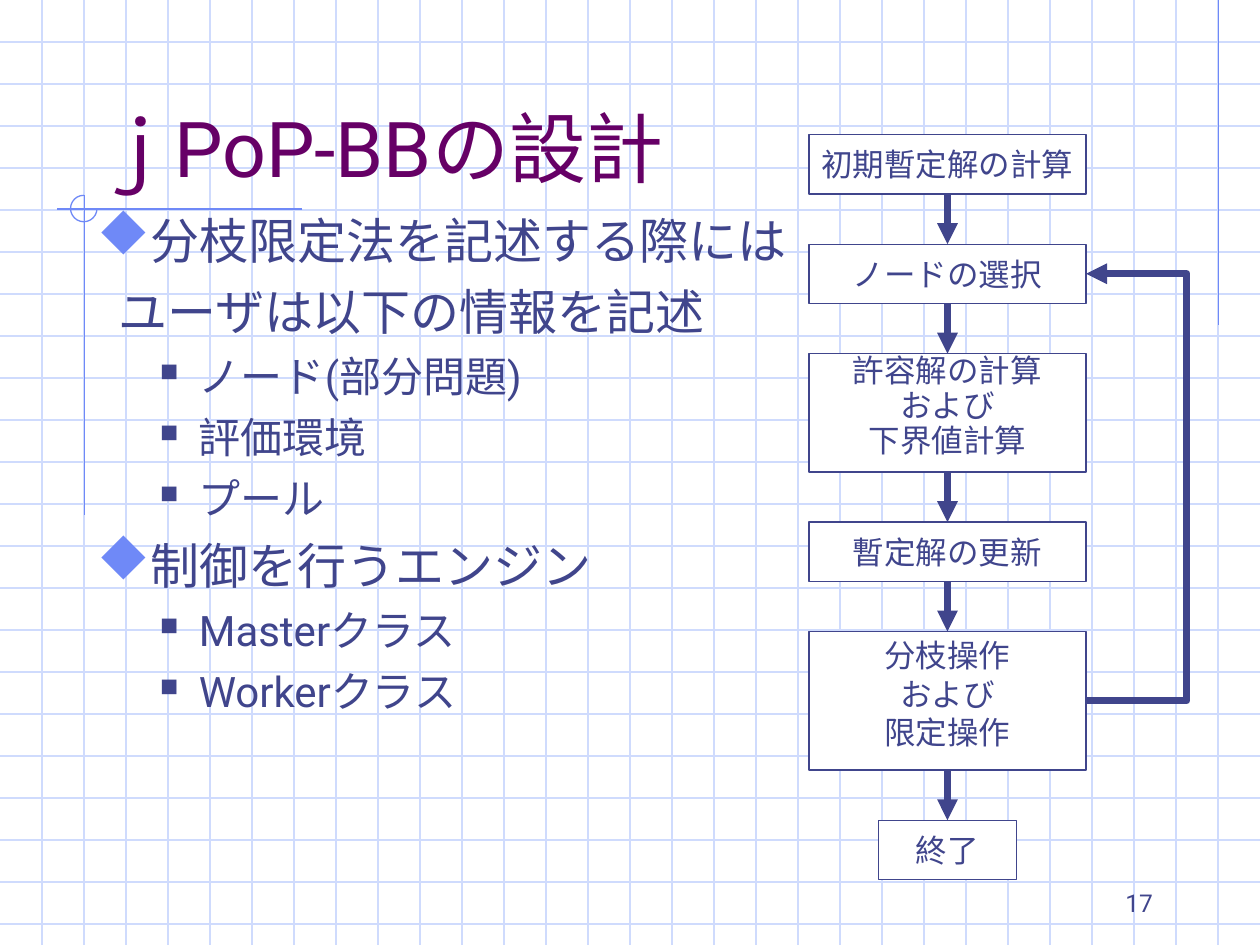
from dataclasses import dataclass

from lxml import etree
from pptx import Presentation
from pptx.dml.color import RGBColor
from pptx.enum import shapes, text
from pptx.oxml.ns import qn
from pptx.util import Inches, Pt


@dataclass(frozen=True)
class Theme:
    font: str = "Roboto"
    bullet_font: str = "Wingdings"
    diamond: str = "u"
    square: str = "n"
    ink: str = "40458C"
    title: str = "660066"
    accent: str = "6F89F7"
    grid: str = "CFDBFD"
    paper: str = "FFFFFF"
    title_size: int = 44
    body_size: int = 28
    item_size: int = 24
    box_size: int = 18
    number_size: int = 14
    thin: float = 0.75
    thick: float = 4


THEME = Theme()
BULLETS = {
    "topic": dict(size=THEME.body_size, before=7, left=0.38, hang=0.38,
                  bullet=(THEME.diamond, THEME.accent, 110)),
    "continued": dict(size=THEME.body_size, before=7, left=0.17),
    "item": dict(size=THEME.item_size, before=6, left=0.81, hang=0.31,
                 bullet=(THEME.square, THEME.ink, 60)),
}
POINTS = [
    ("topic", "分枝限定法を記述する際には"),
    ("continued", "ユーザは以下の情報を記述"),
    ("item", "ノード(部分問題)"),
    ("item", "評価環境"),
    ("item", "プール"),
    ("topic", "制御を行うエンジン"),
    ("item", "Masterクラス"),
    ("item", "Workerクラス"),
]
STEPS = [
    (["初期暫定解の計算"], 1, 0.47, 1),
    (["ノードの選択"], 1, 0.47, 1),
    (["許容解の計算", "および", "下界値計算"], 1, 0.94, 0.4),
    (["暫定解の更新"], 1, 0.47, 1),
    (["分枝操作", "および", "限定操作"], 1, 1.1, 0.5),
    (["終了"], 0.5, 0.47, 1),
]


def add_child(parent, tag, **attributes):
    return etree.SubElement(parent, qn(tag), attributes)


def add_bullet(para, char, color, percent):
    properties = para._p.get_or_add_pPr()
    add_child(add_child(properties, "a:buClr"), "a:srgbClr", val=color)
    add_child(properties, "a:buSzPct", val=str(percent * 1000))
    add_child(properties, "a:buFont", typeface=THEME.bullet_font,
              pitchFamily="2", charset="2")
    add_child(properties, "a:buChar", char=char)


def write(frame, words, first=True, size=18, color=THEME.ink, align=text.PP_ALIGN.LEFT,
          before=0, spacing=1, left=0, hang=0, bullet=None):
    para = frame.paragraphs[0] if first else frame.add_paragraph()
    if bullet:
        add_bullet(para, *bullet)
    properties = para._p.get_or_add_pPr()
    properties.set("marL", str(Inches(left)))
    properties.set("indent", str(-Inches(hang)))
    para.alignment = align
    para.space_before = Pt(0 if first else before)
    para.line_spacing = spacing
    span = para.add_run()
    span.text = words
    span.font.name = THEME.font
    span.font.size = Pt(size)
    span.font.color.rgb = RGBColor.from_string(color)


def set_frame(frame, anchor, wrap=True):
    frame.word_wrap = wrap
    frame.auto_size = text.MSO_AUTO_SIZE.NONE
    frame.vertical_anchor = anchor


def style_line(line, color, width, arrow=False):
    line.line.color.rgb = RGBColor.from_string(color)
    line.line.width = Pt(width)
    if arrow:
        add_child(line.element.spPr.find(qn("a:ln")), "a:tailEnd", type="triangle")


def add_line(parts, start, end, color, width, arrow=False):
    line = parts.add_connector(shapes.MSO_CONNECTOR.STRAIGHT, *map(Inches, start + end))
    style_line(line, color, width, arrow)
    add_child(line.element.spPr, "a:effectLst")
    return line


def draw_background(page, width, height):
    group = page.shapes.add_group_shape()
    parts = group.shapes
    for row in range(1, int(height * 3) + 1):
        add_line(parts, (0, row / 3), (width, row / 3), THEME.grid, THEME.thin)
    for column in range(1, int(width * 3)):
        add_line(parts, (column / 3, 0), (column / 3, height), THEME.grid, THEME.thin)
    for start, end in [((9.67, 0), (9.67, 2.58)), ((2.4, 1.66), (0.45, 1.66)),
                       ((0.67, 1.55), (0.67, 4.09))]:
        add_line(parts, start, end, THEME.accent, THEME.thin)
    ring = parts.add_shape(shapes.MSO_SHAPE.ARC, *map(Inches, (0.56, 1.55, 0.21, 0.21)))
    ring.adjustments[0], ring.adjustments[1] = 0, 162
    ring.fill.background()
    ring.shadow.inherit = False
    style_line(ring, THEME.accent, THEME.thin)
    return group


def place_title(page, background, left, top, width, height):
    title = page.shapes.title
    background.element.addnext(title.element)
    title.left, title.top, title.width, title.height = map(Inches, (left, top, width, height))
    set_frame(title.text_frame, text.MSO_ANCHOR.BOTTOM)
    write(title.text_frame, "ｊPoP-BBの設計", size=THEME.title_size, color=THEME.title)


def place_points(page, left, top, width, height):
    box = page.shapes.add_textbox(*map(Inches, (left, top, width, height)))
    set_frame(box.text_frame, text.MSO_ANCHOR.TOP)
    for index, (kind, words) in enumerate(POINTS):
        write(box.text_frame, words, first=index == 0, **BULLETS[kind])


def add_step(page, lines, spacing, left, top, width, height):
    box = page.shapes.add_shape(shapes.MSO_SHAPE.RECTANGLE,
                                *map(Inches, (left, top, width, height)))
    box.shadow.inherit = False
    box.fill.solid()
    box.fill.fore_color.rgb = RGBColor.from_string(THEME.paper)
    style_line(box, THEME.ink, THEME.thin)
    set_frame(box.text_frame, text.MSO_ANCHOR.MIDDLE, wrap=False)
    for index, words in enumerate(lines):
        write(box.text_frame, words, first=index == 0, size=THEME.box_size,
              align=text.PP_ALIGN.CENTER, before=11.2, spacing=spacing)
    return box


def draw_loop(page, source, target, reach):
    right = source.left + source.width
    low = source.top + source.height // 2
    high = target.top + target.height // 2
    outline = page.shapes.build_freeform(right, low)
    outline.add_line_segments([(right + reach, low), (right + reach, high), (right, high)],
                              close=False)
    loop = outline.convert_to_shape()
    loop.fill.background()
    loop.shadow.inherit = False
    style_line(loop, THEME.ink, THEME.thick, arrow=True)


def draw_flow(page, left, top, width, height):
    gap = (height - sum(step[2] for step in STEPS)) / (len(STEPS) - 1)
    boxes = []
    for lines, share, tall, spacing in STEPS:
        inset = width * (1 - share) / 2
        boxes.append(add_step(page, lines, spacing, left + inset, top, width * share, tall))
        top += tall + gap
    for upper, lower in zip(boxes, boxes[1:]):
        arrow = add_line(page.shapes, (0, 0), (0, 0), THEME.ink, THEME.thick, arrow=True)
        arrow.begin_connect(upper, 2)
        arrow.end_connect(lower, 0)
    draw_loop(page, boxes[4], boxes[1], Inches(0.8))


def place_number(page, left, top, width, height):
    box = page.shapes.add_textbox(*map(Inches, (left, top, width, height)))
    set_frame(box.text_frame, text.MSO_ANCHOR.BOTTOM)
    write(box.text_frame, "17", size=THEME.number_size, align=text.PP_ALIGN.RIGHT)


def main():
    deck = Presentation()
    deck.slide_width, deck.slide_height = Inches(10), Inches(7.5)
    page = deck.slides.add_slide(deck.slide_layouts[5])
    page.background.fill.solid()
    page.background.fill.fore_color.rgb = RGBColor.from_string(THEME.paper)
    background = draw_background(page, 10, 7.5)
    place_title(page, background, 0.67, 0.33, 8.5, 1.25)
    place_points(page, 0.67, 1.62, 8.74, 5.12)
    draw_flow(page, 6.42, 1.07, 2.2, 5.91)
    place_number(page, 7.17, 6.83, 2.08, 0.5)
    deck.save("out.pptx")


if __name__ == "__main__":
    main()
